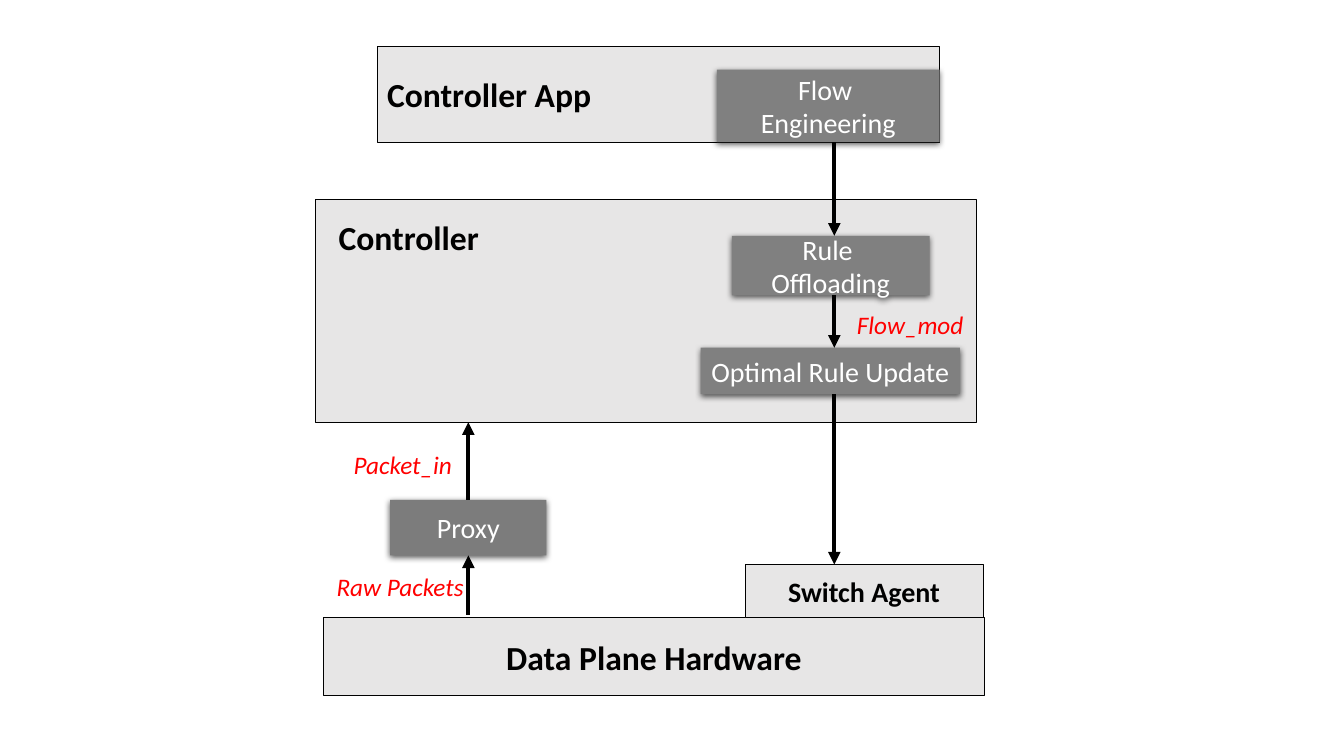
import dataclasses

import lxml.etree
import pptx
import pptx.dml.color
import pptx.enum.shapes
import pptx.enum.text
import pptx.oxml.ns
import pptx.util


@dataclasses.dataclass(frozen=True)
class Theme:
    font: str = "Calibri"
    panel: str = "E7E6E6"
    module: str = "808080"
    proxy: str = "7C7C7C"
    ink: str = "000000"
    light: str = "FFFFFF"
    message: str = "FF0000"
    heading_size: int = 24
    module_size: int = 20
    message_size: int = 18
    border: float = 0.5
    arrow: float = 3


@dataclasses.dataclass(frozen=True)
class Box:
    """A rectangle in grid columns and rows."""
    left: float
    top: float
    width: float
    height: float

    @property
    def right(self):
        return self.left + self.width

    @property
    def bottom(self):
        return self.top + self.height

    def inside(self, left, top, width, height):
        return Box(self.left + left, self.top + top, width, height)

    def emu(self):
        return [grid(value) for value in dataclasses.astuple(self)]


THEME = Theme()
CELLS_PER_INCH = 10
LEFT, CENTER = pptx.enum.text.PP_ALIGN.LEFT, pptx.enum.text.PP_ALIGN.CENTER


def grid(cells):
    return pptx.util.Inches(cells / CELLS_PER_INCH)


def color(value):
    return pptx.dml.color.RGBColor.from_string(value)


def add_xml(parent, tag, **attributes):
    return lxml.etree.SubElement(parent, pptx.oxml.ns.qn(tag), attributes)


def write(shape, text, size, ink, align=CENTER, bold=False, italic=False):
    shape.text_frame.text = text
    for paragraph in shape.text_frame.paragraphs:
        paragraph.alignment = align
        for run in paragraph.runs:
            run.font.name, run.font.size = THEME.font, pptx.util.Pt(size)
            run.font.color.rgb = color(ink)
            run.font.bold, run.font.italic = bold, italic


def add_rectangle(slide, box, fill):
    shape = slide.shapes.add_shape(
        pptx.enum.shapes.MSO_SHAPE.RECTANGLE, *box.emu())
    shape.shadow.inherit = False
    shape.fill.solid()
    shape.fill.fore_color.rgb = color(fill)
    shape.text_frame.word_wrap = True
    shape.text_frame.vertical_anchor = pptx.enum.text.MSO_ANCHOR.MIDDLE
    return shape


def add_panel(slide, box, text="", size=THEME.heading_size, align=CENTER):
    shape = add_rectangle(slide, box, THEME.panel)
    shape.line.color.rgb = color(THEME.ink)
    shape.line.width = pptx.util.Pt(THEME.border)
    if text:
        write(shape, text, size, THEME.ink, align, bold=True)


def add_module(slide, box, text, fill=THEME.module):
    shape = add_rectangle(slide, box, fill)
    shape.line.fill.background()
    write(shape, text, THEME.module_size, THEME.light)
    effects = shape._element.spPr.find(pptx.oxml.ns.qn("a:effectLst"))
    shadow = add_xml(effects, "a:outerShdw", blurRad=str(pptx.util.Pt(4.5)),
                     dist=str(pptx.util.Pt(1.5)), dir="5400000", rotWithShape="0")
    add_xml(add_xml(shadow, "a:srgbClr", val=THEME.ink), "a:alpha", val="63000")
    return box


def add_label(slide, box, text, size, ink, wrap=True, **style):
    shape = slide.shapes.add_textbox(*box.emu())
    shape.text_frame.word_wrap = wrap
    write(shape, text, size, ink, LEFT, **style)


def add_message(slide, box, text):
    add_label(slide, box, text, THEME.message_size, THEME.message, italic=True)


def add_arrow(slide, column, start, end):
    connector = slide.shapes.add_connector(
        pptx.enum.shapes.MSO_CONNECTOR.STRAIGHT,
        grid(column), grid(start), grid(column), grid(end))
    connector.line.color.rgb = color(THEME.ink)
    connector.line.width = pptx.util.Pt(THEME.arrow)
    add_xml(connector.line._get_or_add_ln(), "a:tailEnd", type="triangle")
    add_xml(connector._element.spPr, "a:effectLst")


def draw_application(slide, box):
    add_panel(slide, box, "Controller App", align=LEFT)
    # Module sits in the lower right corner
    width, height = 22.1, 7.2
    corner = box.inside(box.width - width, box.height - height, width, height)
    return add_module(slide, corner, "Flow \nEngineering")


def draw_controller(slide, box):
    add_panel(slide, box)
    add_label(slide, box.inside(1.3, 1.2, 16.1, 5), "Controller",
              THEME.heading_size, THEME.ink, wrap=False, bold=True)
    offloading = add_module(slide, box.inside(41.3, 3.6, 19.6, 5.9), "Rule \nOffloading")
    update = add_module(slide, box.inside(38.2, 14.7, 25.7, 4.6), "Optimal Rule Update")
    add_message(slide, box.inside(52.7, 10.4, 14.1, 4), "Flow_mod")
    return offloading, update


def draw_data_plane(slide, box):
    add_panel(slide, box, "Data Plane Hardware")
    # Agent stands on the right end of the hardware
    width, height = 23.6, 5.3
    agent = box.inside(box.width - width - 0.1, -height, width, height)
    add_panel(slide, agent, "Switch Agent", THEME.module_size)
    return agent


def draw_packet_path(slide, box):
    proxy = add_module(slide, box.inside(6.6, 7.7, 15.5, 5.5), "Proxy", THEME.proxy)
    column = proxy.left + proxy.width / 2
    add_arrow(slide, column, box.bottom, proxy.bottom)
    add_arrow(slide, column, proxy.top, box.top)
    add_message(slide, box.inside(2, 2.2, 13.3, 4), "Packet_in")
    add_message(slide, box.inside(0.3, 14.3, 26.7, 4), "Raw Packets")


def draw_rule_path(slide, column, stops):
    for upper, lower in zip(stops, stops[1:]):
        add_arrow(slide, column, upper.bottom, lower.top)


def main():
    presentation = pptx.Presentation()
    presentation.slide_width = pptx.util.Inches(13.33)
    presentation.slide_height = pptx.util.Inches(7.5)
    slide = presentation.slides.add_slide(presentation.slide_layouts[6])

    # Layers from top to bottom
    controller = Box(31.3, 19.8, 65.5, 22.1)
    hardware = Box(32.1, 61.3, 65.5, 7.7)
    engineering = draw_application(slide, Box(37.4, 4.6, 55.8, 9.5))
    offloading, update = draw_controller(slide, controller)
    agent = draw_data_plane(slide, hardware)

    # Packets go up, rules come down
    gap = hardware.top - controller.bottom
    draw_packet_path(slide, Box(hardware.left, controller.bottom, 22.1, gap - 0.3))
    draw_rule_path(slide, 82.75, [engineering, offloading, update, agent])

    presentation.save("out.pptx")


main()
